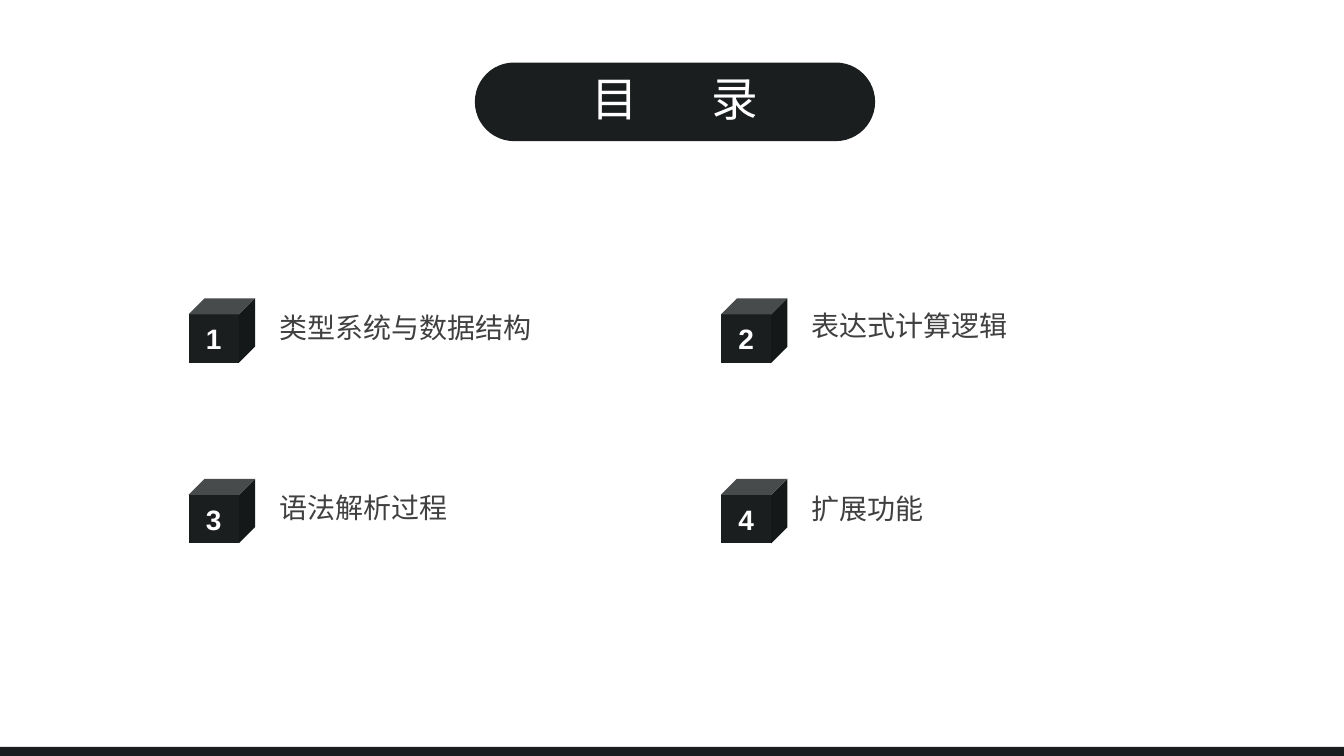
import pptx
import pptx.util
import pptx.dml.color
import pptx.enum.shapes
import pptx.enum.text

INK, WHITE, GREY = "1B1E1F", "FFFFFF", "404040"
CJK = "Noto Sans CJK SC"
SHAPE = pptx.enum.shapes.MSO_SHAPE
ALIGN = pptx.enum.text.PP_ALIGN
inch = pptx.util.Inches


def paint(fill, color):
    fill.solid()
    fill.fore_color.rgb = pptx.dml.color.RGBColor.from_string(color)


def write(sp, runs, size, font, color, align, bold=False, spacing=None, insets=None):
    tf = sp.text_frame
    tf.word_wrap = True
    tf.vertical_anchor = pptx.enum.text.MSO_ANCHOR.MIDDLE
    if insets:
        tf.margin_left, tf.margin_top, tf.margin_right, tf.margin_bottom = map(inch, insets)
    p = tf.paragraphs[0]
    p.alignment = align
    p.line_spacing = spacing
    for text, tracking in runs:
        r = p.add_run()
        r.text = text
        r.font.size = pptx.util.Pt(size)
        r.font.name = font
        r.font.bold = bold
        paint(r.font.fill, color)
        rpr = r.font._element
        rpr.set("spc", str(tracking * 100))
        ea = rpr.makeelement(pptx.oxml.ns.qn("a:ea"), {"typeface": CJK})
        rpr.find(pptx.oxml.ns.qn("a:latin")).addnext(ea)


prs = pptx.Presentation()
prs.slide_width, prs.slide_height = inch(13.33), inch(7.5)
s = prs.slides.add_slide(prs.slide_layouts[6])
paint(s.background.fill, WHITE)

bar = s.shapes.add_shape(SHAPE.RECTANGLE, 0, inch(7.41), prs.slide_width, inch(0.1))
title = s.shapes.add_shape(SHAPE.ROUNDED_RECTANGLE, inch(4.71), inch(0.62), inch(3.97), inch(0.78))
title.adjustments[0] = 0.5
for sp in (bar, title):
    paint(sp.fill, INK)
    sp.line.fill.background()
    sp.shadow.inherit = False
write(title, [("目", 0), (" ", 45), ("录", 0)], 33.3, CJK, WHITE, ALIGN.CENTER,
      spacing=0.9, insets=(0.1, 0, 0.1, 0))

LEFT, TOP, COL, ROW = 1.87, 2.96, 5.28, 1.79
entries = [("类型系统与数据结构", 0.05), ("表达式计算逻辑", 0.07),
           ("语法解析过程", 0.05), ("扩展功能", 0.04)]
for i, (label, lift) in enumerate(entries):
    row, col = divmod(i, 2)
    x, y = LEFT + col * COL, TOP + row * ROW
    group = s.shapes.add_group_shape()
    cube = group.shapes.add_shape(SHAPE.CUBE, inch(x), inch(y), inch(0.66), inch(0.64))
    paint(cube.fill, INK)
    cube.line.fill.background()
    cube.shadow.inherit = False
    write(cube, [(str(i + 1), 0)], 20, "Arial", WHITE, ALIGN.CENTER, bold=True)
    box = group.shapes.add_textbox(inch(x + 0.9), inch(y - lift), inch(3.52), inch(0.71))
    write(box, [(label, 0)], 20, "Arial", GREY, ALIGN.LEFT, spacing=0.9, insets=(0, 0, 0, 0))

prs.save("out.pptx")
